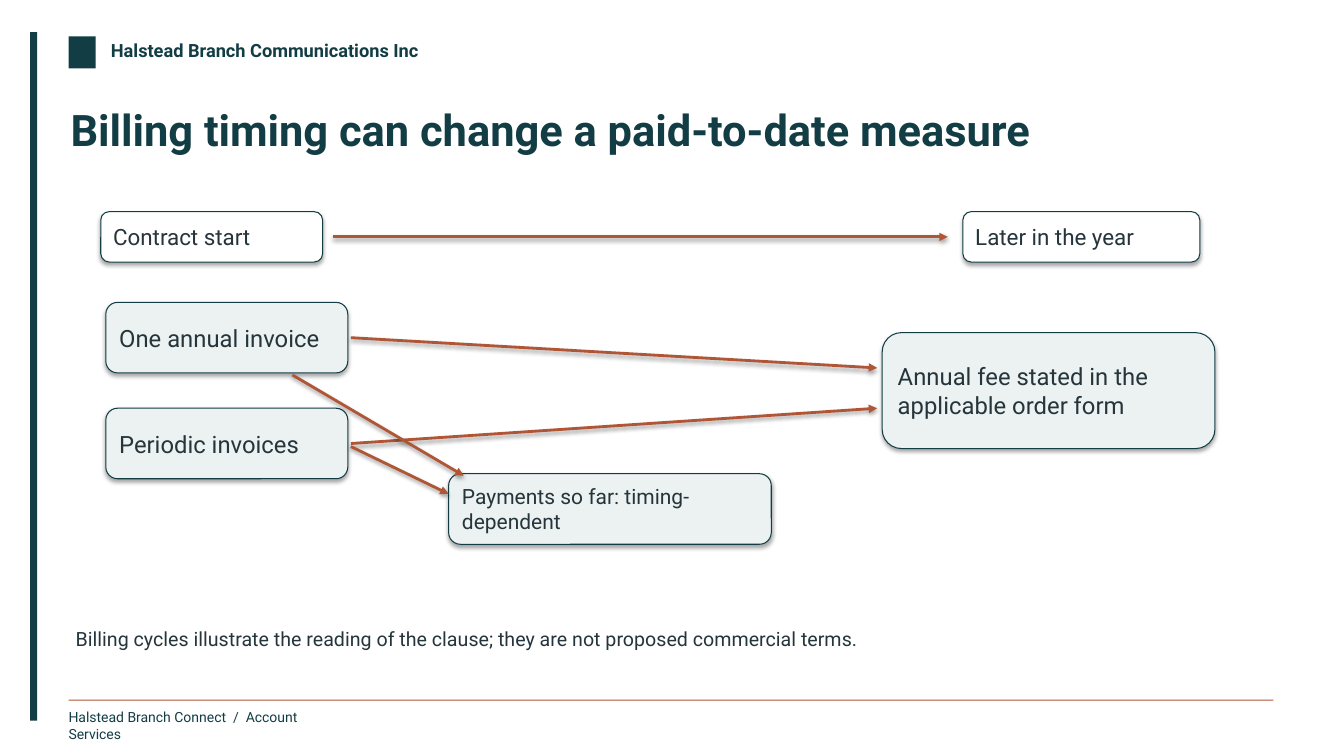
from pptx import Presentation
from pptx.dml.color import RGBColor as RGB
from pptx.enum.shapes import MSO_CONNECTOR as CONN, MSO_SHAPE as SHAPE
from pptx.enum.text import MSO_ANCHOR as ANCHOR, PP_ALIGN as ALIGN
from pptx.oxml import parse_xml
from pptx.oxml.ns import nsdecls
from pptx.util import Inches, Pt

COLORS = {
    "teal": "133D45",
    "rust": "AF5636",
    "ink": "26353B",
    "mist": "EBF2F1",
    "white": "FFFFFF",
}
CELL = Inches(0.1)


class Deck:
    font = "Roboto"

    def __init__(self, cols, rows):
        self.prs = Presentation()
        self.prs.slide_width, self.prs.slide_height = self.grid(cols, rows)
        self.s = self.prs.slides.add_slide(self.prs.slide_layouts[6])

    def grid(self, *cells):
        return [round(c * CELL) for c in cells]

    def color(self, name):
        return RGB.from_string(COLORS[name])

    def effects(self, alpha, dist):
        return parse_xml(
            f'<a:effectLst {nsdecls("a")}>'
            f'<a:outerShdw blurRad="{Pt(3.1)}" dist="{Pt(dist)}" dir="5400000" rotWithShape="0">'
            f'<a:srgbClr val="000000"><a:alpha val="{alpha * 1000}"/></a:srgbClr>'
            "</a:outerShdw></a:effectLst>"
        )

    def fill_text(self, tf, runs, size, color, bold=False):
        p = tf.paragraphs[0]
        p.alignment = ALIGN.LEFT
        style = {"name": self.font, "size": Pt(size), "bold": bold}
        for text, spacing in runs:
            r = p.add_run()
            r.text = text
            for key, value in style.items():
                setattr(r.font, key, value)
            r.font.color.rgb = self.color(color)
            if spacing:
                r.font._element.set("spc", str(spacing))

    def text(self, at, runs, size, color="teal", bold=False, wrap=False):
        tf = self.s.shapes.add_textbox(*self.grid(*at)).text_frame
        frame = {"word_wrap": wrap, "vertical_anchor": ANCHOR.TOP}
        frame.update({f"margin_{side}": 0 for side in ("left", "top", "right", "bottom")})
        for key, value in frame.items():
            setattr(tf, key, value)
        self.fill_text(tf, runs, size, color, bold)

    def bar(self, at, fill):
        sp = self.s.shapes.add_shape(SHAPE.RECTANGLE, *self.grid(*at))
        sp.shadow.inherit = False
        sp.fill.solid()
        sp.fill.fore_color.rgb = self.color(fill)
        sp.line.fill.background()

    def card(self, at, text, size, fill="mist"):
        sp = self.s.shapes.add_shape(SHAPE.ROUNDED_RECTANGLE, *self.grid(*at))
        sp.fill.solid()
        sp.fill.fore_color.rgb = self.color(fill)
        sp.line.color.rgb = self.color("teal")
        sp.line.width = Pt(0.75)
        sp._element.spPr.append(self.effects(35, 1.8))
        tf = sp.text_frame
        for key, value in {"word_wrap": True, "vertical_anchor": ANCHOR.MIDDLE}.items():
            setattr(tf, key, value)
        self.fill_text(tf, [(text, 0)], size, "ink")

    def arrow(self, *ends):
        cx = self.s.shapes.add_connector(CONN.STRAIGHT, *self.grid(*ends))
        cx.line.color.rgb = self.color("rust")
        cx.line.width = Pt(2)
        cx.line._get_or_add_ln().append(parse_xml(f'<a:tailEnd {nsdecls("a")} type="triangle"/>'))
        cx._element.spPr.append(self.effects(38, 1.6))


def main():
    deck = Deck(133.3, 75)

    deck.bar((3, 3.2, 0.7, 68.3), "teal")
    deck.bar((6.8, 3.6, 2.7, 3.2), "teal")
    deck.text((11, 3.9, 35.5, 2.7), [("Halstead Branch Communications Inc", 0)], 13, bold=True)
    deck.bar((6.8, 69.4, 119.5, 0.1), "rust")
    footer = [("Halstead Branch Connect", 0), (" /", 250), (" Account Services", 0)]
    deck.text((6.8, 70.3, 26, 2.3), footer, 10)

    title = "Billing timing can change a paid-to-date measure"
    deck.text((7, 10.2, 119, 8.6), [(title, 0)], 31, bold=True, wrap=True)
    note = "Billing cycles illustrate the reading of the clause; they are not proposed commercial terms."
    deck.text((7.5, 62.2, 118.2, 4.4), [(note, 0)], 14, "ink", wrap=True)

    for left, width, label in ((10, 22, "Contract start"), (95.5, 23.5, "Later in the year")):
        deck.card((left, 21, width, 5), label, 16, "white")
    deck.arrow(33, 23.5, 94, 23.5)

    for i, label in enumerate(("One annual invoice", "Periodic invoices")):
        deck.card((10.5, 30 + 10.5 * i, 24, 7), label, 17)
    deck.card((87.5, 33, 33, 11.5), "Annual fee stated in the applicable order form", 17)
    deck.card((44.5, 47, 32, 7), "Payments so far: timing-dependent", 15)

    for ends in (
        (34.8, 33.5, 87, 36.5),
        (34.8, 44, 87, 40.5),
        (29, 37.2, 46, 47.2),
        (34.8, 44.3, 44.5, 49),
    ):
        deck.arrow(*ends)

    deck.prs.save("out.pptx")


if __name__ == "__main__":
    main()
